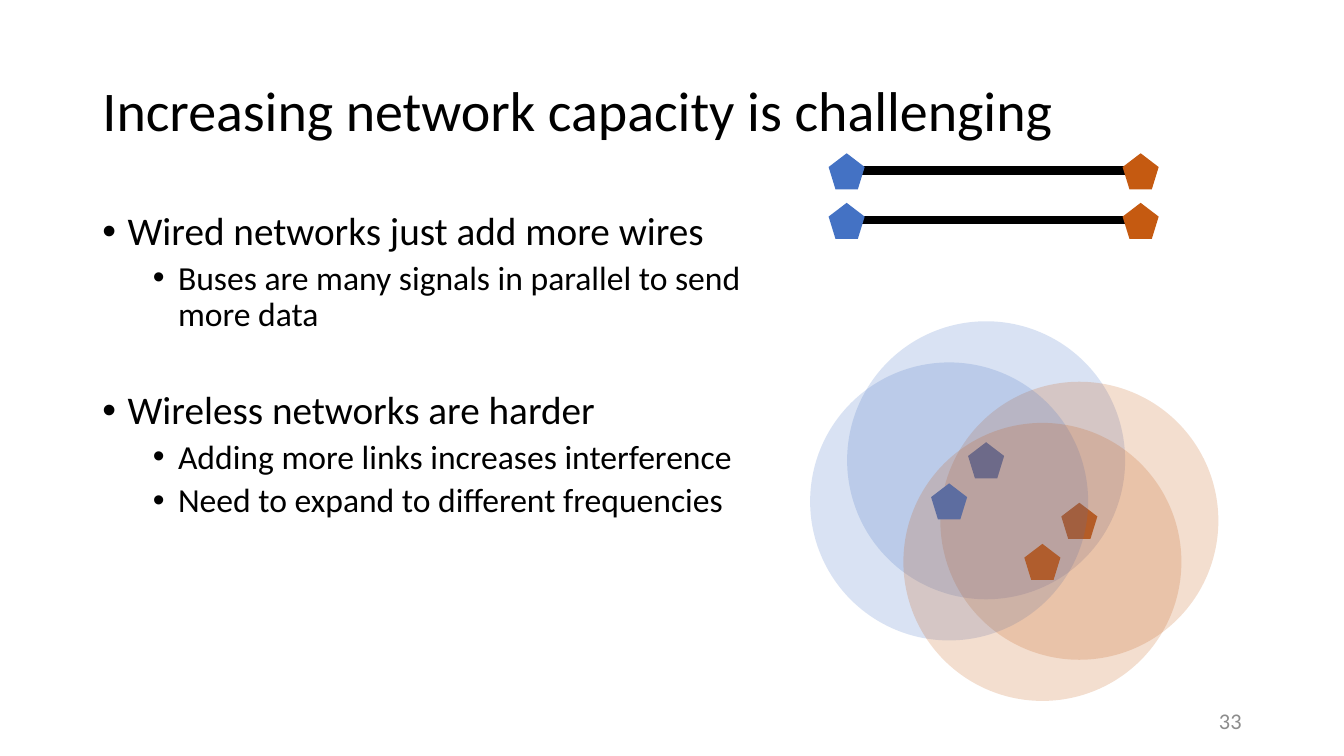
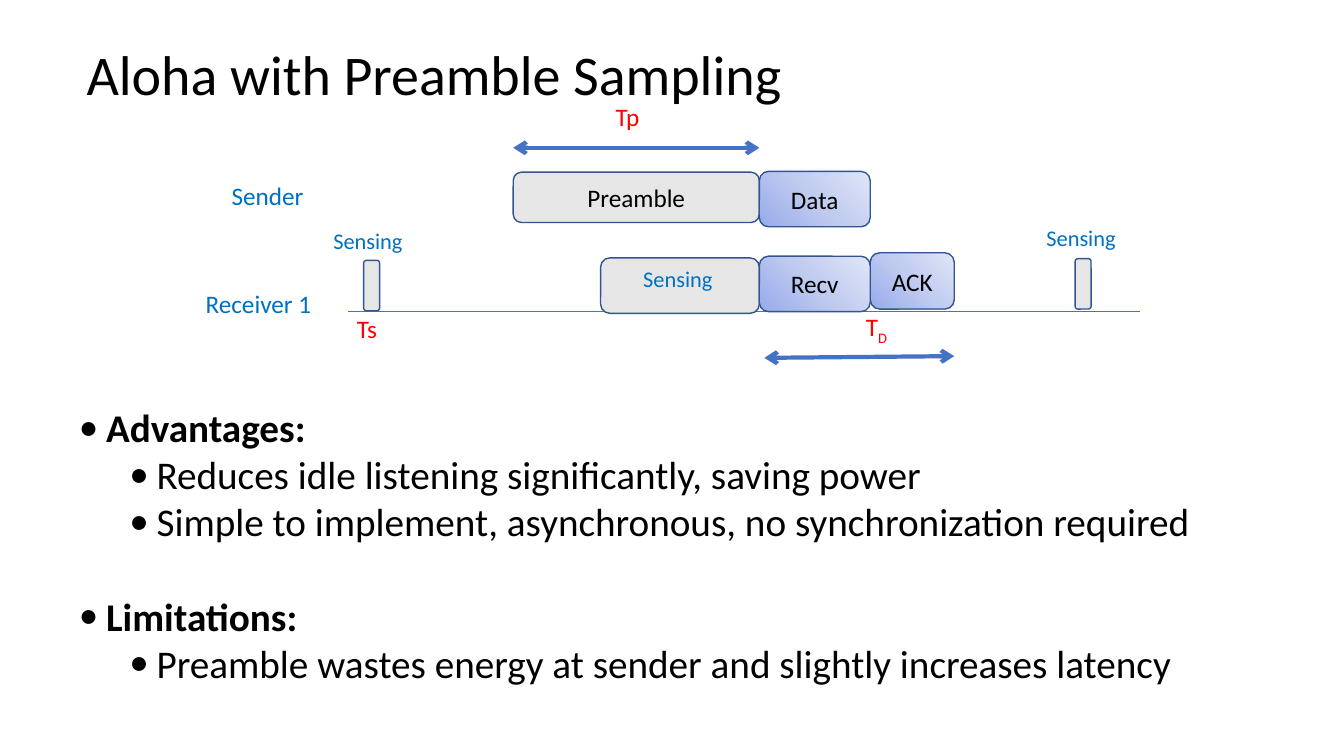
from lxml import etree
from pptx import Presentation
from pptx.dml.color import RGBColor
from pptx.enum.shapes import MSO_CONNECTOR, MSO_SHAPE
from pptx.enum.text import MSO_ANCHOR, MSO_AUTO_SIZE, PP_ALIGN
from pptx.oxml import parse_xml
from pptx.oxml.ns import nsdecls, qn
from pptx.util import Emu, Inches, Pt

PENTAGON, CIRCLE = MSO_SHAPE.REGULAR_PENTAGON, MSO_SHAPE.OVAL
ROUNDED = MSO_SHAPE.ROUNDED_RECTANGLE
STRAIGHT = MSO_CONNECTOR.STRAIGHT
LEFT, CENTER, RIGHT = PP_ALIGN.LEFT, PP_ALIGN.CENTER, PP_ALIGN.RIGHT
TOP, MIDDLE = MSO_ANCHOR.TOP, MSO_ANCHOR.MIDDLE
NO_FIT = MSO_AUTO_SIZE.NONE

FONT = "Calibri"
BLACK, GRAY, RED, SKY = "000000", "8C8C8C", "FF0000", "0070C0"
BLUE, ORANGE = "4472C4", "C55A11"
IDLE, OUTLINE = "E7E6E6", "325491"
GLOW = ((0, "96ABEA"), (50, "C0CBF0"), (100, "E0E5F7"))

# Square grid of 160 columns by 90 rows
COLUMNS, ROWS = 160, 90
CELL = Inches(7.5) / ROWS


def color(hex_code):
    return RGBColor.from_string(hex_code)


def grid(*cells):
    return [Emu(round(cell * CELL)) for cell in cells]


class Deck:
    """Holds the shared style and the slide being built."""

    def __init__(self):
        self.prs = Presentation()
        self.prs.slide_width, self.prs.slide_height = grid(COLUMNS, ROWS)
        self.slide = None

    def style(self, paragraph, size, hex_code=BLACK, align=LEFT, bold=False):
        paragraph.alignment = align
        font = paragraph.font
        font.name, font.size, font.bold = FONT, Pt(size), bold
        font.color.rgb = color(hex_code)

    def place(self, holder, area, anchor):
        holder.left, holder.top, holder.width, holder.height = grid(*area)
        frame = holder.text_frame
        frame.vertical_anchor, frame.auto_size = anchor, NO_FIT
        frame.word_wrap = True
        return frame

    def new_slide(self, title, area):
        self.slide = self.prs.slides.add_slide(self.prs.slide_layouts[1])
        heading = self.place(self.slide.shapes.title, area, MIDDLE).paragraphs[0]
        heading.text = title
        heading.line_spacing = 0.9
        self.style(heading, 40)

    def bullets(self, items, area, sizes, before, hang, indent, spacing,
                section_gap, bullet_font, bold_heads=False):
        """Items are (level, text); each later head opens a new section."""
        frame = self.place(self.slide.placeholders[1], area, TOP)
        for index, (level, text) in enumerate(items):
            point = frame.add_paragraph() if index else frame.paragraphs[0]
            point.text, point.level = text, level
            point.line_spacing = spacing
            new_section = index and level == 0
            point.space_before = Pt(section_gap if new_section else before[level])
            self.style(point, sizes[level], bold=bold_heads and level == 0)
            props = point._p.get_or_add_pPr()
            props.set("marL", str(Inches(hang + level * indent)))
            props.set("indent", str(-Inches(hang)))
            marks = (f'<a:buFont {nsdecls("a")} typeface="{bullet_font}"/>',
                     f'<a:buChar {nsdecls("a")} char="•"/>')
            text_defaults = props.find(qn("a:defRPr"))
            for mark in marks:
                text_defaults.addprevious(parse_xml(mark))

    def label(self, text, area, size=18, hex_code=SKY, align=LEFT,
              wrap=False, anchor=TOP, subscript=""):
        frame = self.slide.shapes.add_textbox(*grid(*area)).text_frame
        frame.word_wrap, frame.vertical_anchor = wrap, anchor
        line = frame.paragraphs[0]
        line.text = text
        self.style(line, size, hex_code, align)
        if subscript:
            lowered = line.add_run()
            lowered.text = subscript
            lowered.font._element.set("baseline", "-25000")

    def shape(self, kind, area, fill=None, outline=None, alpha=None):
        shape = self.slide.shapes.add_shape(kind, *grid(*area))
        shape.shadow.inherit = False
        if fill:
            shape.fill.solid()
            shape.fill.fore_color.rgb = color(fill)
        if alpha:
            tint = shape.element.spPr.find(".//" + qn("a:srgbClr"))
            etree.SubElement(tint, qn("a:alpha"), val=str(alpha * 1000))
        if outline:
            shape.line.color.rgb, shape.line.width = color(outline), Pt(1)
        else:
            shape.line.fill.background()
        return shape

    def centered(self, kind, x, y, size, fill, alpha=None):
        area = (x - size / 2, y - size / 2, size, size)
        self.shape(kind, area, fill, alpha=alpha)

    def block(self, area, text="", glowing=False):
        block = self.shape(ROUNDED, area, None if glowing else IDLE, OUTLINE)
        if glowing:
            stops = "".join(
                f'<a:gs pos="{at * 1000}"><a:srgbClr val="{tone}"/></a:gs>'
                for at, tone in GLOW)
            geometry = block.element.spPr.find(qn("a:prstGeom"))
            geometry.addnext(parse_xml(
                f'<a:gradFill {nsdecls("a")} rotWithShape="1">'
                f'<a:gsLst>{stops}</a:gsLst><a:path path="circle">'
                '<a:fillToRect t="100000" r="100000"/></a:path></a:gradFill>'))
        if text:
            frame = block.text_frame
            frame.vertical_anchor = MIDDLE
            frame.paragraphs[0].text = text
            self.style(frame.paragraphs[0], 18, align=CENTER)

    def line(self, start, end, hex_code, width, arrows=False):
        line = self.slide.shapes.add_connector(STRAIGHT, *grid(*start, *end))
        line.line.color.rgb, line.line.width = color(hex_code), Pt(width)
        if arrows:
            stroke = line.line._get_or_add_ln()
            for end_tag in ("a:headEnd", "a:tailEnd"):
                etree.SubElement(stroke, qn(end_tag), type="arrow")
        etree.SubElement(line.element.spPr, qn("a:effectLst"))


def capacity_slide(deck):
    deck.new_slide("Increasing network capacity is challenging", (11, 4.8, 138, 17.4))
    deck.bullets(
        [(0, "Wired networks just add more wires"),
         (1, "Buses are many signals in parallel to send more data"),
         (0, "Wireless networks are harder"),
         (1, "Adding more links increases interference"),
         (1, "Need to expand to different frequencies")],
        (11, 24.6, 81.6, 66), sizes=(28, 24), before=(10, 5), hang=0.25,
        indent=0.5, spacing=0.9, section_gap=41, bullet_font="Arial")
    deck.label("33", (113, 83.4, 36, 4.8), 16, GRAY, RIGHT, True, MIDDLE)

    node, reach = 4.3, 33.1
    sender_x, receiver_x = 100.8, 135.8
    for link in range(2):
        # Wired link
        wire_y = 20.3 + 5.9 * link
        deck.line((sender_x, wire_y), (receiver_x, wire_y), BLACK, 6)
        for x, tone in ((sender_x, BLUE), (receiver_x, ORANGE)):
            deck.centered(PENTAGON, x, wire_y + 0.1, node, tone)

        # Wireless link: both nodes, then the reach of each
        x, y = 117.4 - 4.4 * link, 54.8 + 4.9 * link
        radios = ((x, y, BLUE), (x + 11.1, y + 7.2, ORANGE))
        for kind, size, alpha in ((PENTAGON, node, None), (CIRCLE, reach, 20)):
            for radio_x, radio_y, tone in radios:
                deck.centered(kind, radio_x, radio_y, size, tone, alpha)


def aloha_slide(deck):
    deck.new_slide("Aloha with Preamble Sampling", (9.1, 3.6, 94.6, 11.2))
    deck.bullets(
        [(0, "Advantages:"),
         (1, "Reduces idle listening significantly, saving power"),
         (1, "Simple to implement, asynchronous, no synchronization required"),
         (0, "Limitations:"),
         (1, "Preamble wastes energy at sender and slightly increases latency")],
        (8.2, 47.4, 142.7, 40.8), sizes=(28, 28), before=(0, 0), hang=0.27,
        indent=0.5, spacing=1.0, section_gap=34, bullet_font=FONT,
        bold_heads=True)

    # Time line of the receiver
    deck.line((41.4, 37.1), (135.7, 37.1), BLUE, 0.5)

    # Packets and sensing periods
    preamble_x, data_x, ack_x, ack_end = 61.1, 90.4, 103.6, 113.6
    data_width = ack_x - data_x
    deck.block((preamble_x, 20.5, data_x - preamble_x, 6), "Preamble")
    deck.block((data_x, 20.4, data_width, 6.6), "Data", True)
    deck.block((71.5, 30.7, data_x - 71.5, 6.6))
    deck.block((ack_x, 30.1, ack_end - ack_x, 6.7), "ACK", True)
    deck.block((data_x, 30.5, data_width, 6.6), "Recv", True)
    for x, y in ((43.3, 31), (128, 30.8)):
        deck.block((x, y, 1.9, 6))

    # Labels
    for x, y in ((38.5, 26.5), (75.4, 31), (123.4, 26.1)):
        deck.label("Sensing", (x, y, 10.8, 4.4), 16)
    deck.label("Sender", (26.4, 20.9, 11, 4.8))
    deck.label("Receiver 1", (23.3, 33.7, 15.1, 4.8))
    deck.label("Tp", (72.1, 11.5, 5.3, 4.8), hex_code=RED)
    deck.label("Ts", (41.3, 36.7, 4.8, 4.8), hex_code=RED)
    deck.label("T", (101.9, 36.5, 8.3, 4.8), hex_code=RED, wrap=True, subscript="D")

    # Durations
    deck.line((preamble_x, 17.6), (data_x, 17.6), BLUE, 3, True)
    deck.line((91, 42.6), (ack_end, 42.4), BLUE, 3, True)


def main():
    deck = Deck()
    capacity_slide(deck)
    aloha_slide(deck)
    deck.prs.save("out.pptx")


if __name__ == "__main__":
    main()
